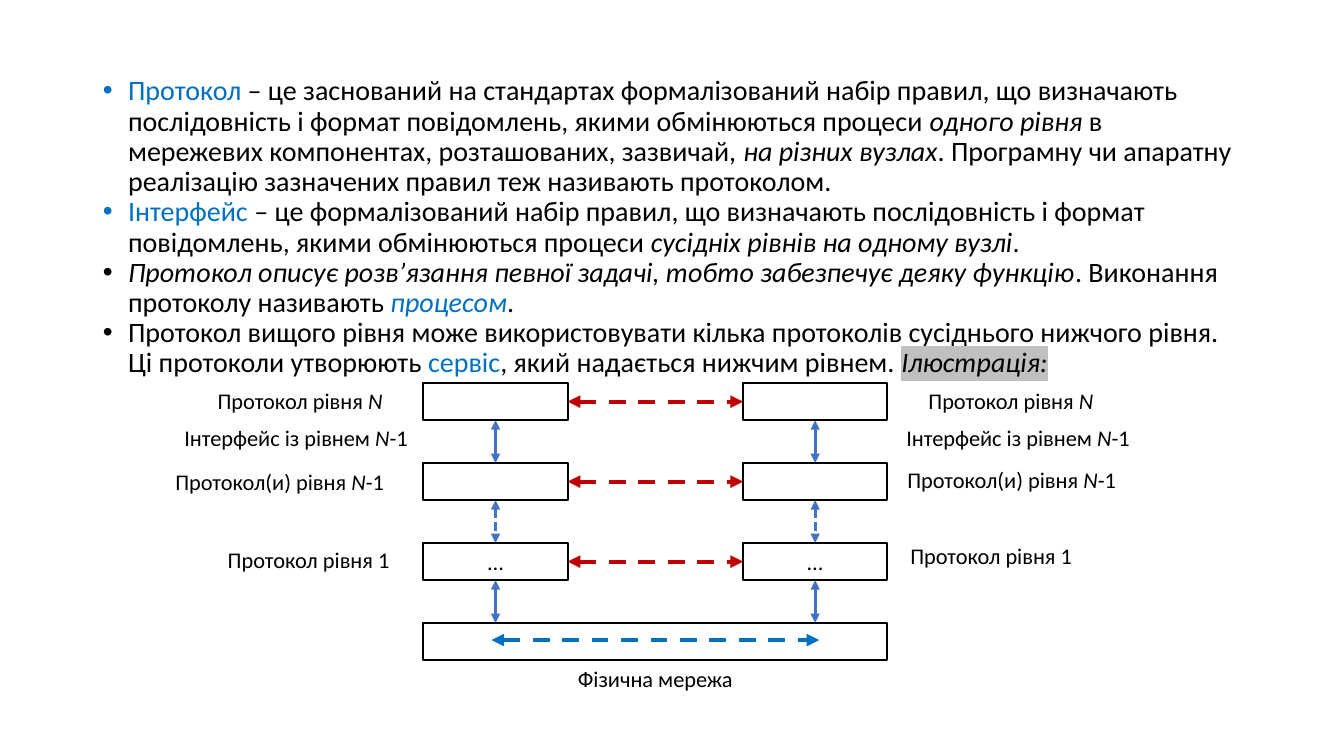
from collections import namedtuple

from lxml.etree import SubElement
from pptx import Presentation
from pptx.dml.color import RGBColor
from pptx.enum.dml import MSO_LINE
from pptx.enum.shapes import MSO_CONNECTOR, MSO_SHAPE
from pptx.enum.text import MSO_ANCHOR, MSO_AUTO_SIZE, PP_ALIGN
from pptx.oxml import parse_xml
from pptx.oxml.ns import nsdecls, qn
from pptx.util import Inches, Pt

BLACK = RGBColor(0x00, 0x00, 0x00)
BLUE = RGBColor(0x00, 0x70, 0xC0)
INTERFACE_BLUE = RGBColor(0x44, 0x72, 0xC4)
PROTOCOL_RED = RGBColor(0xC0, 0x00, 0x00)
GRAY = RGBColor(0xC0, 0xC0, 0xC0)
FONT = "Calibri"

Box = namedtuple("Box", "left top width height")
Piece = namedtuple("Piece", "text color italic highlight", defaults=(BLACK, False, None))

DEFINITIONS = [
    [
        Piece("Протокол", BLUE),
        Piece("\u00a0– це заснований на стандартах формалізований набір правил, що визначають "
              "послідовність і формат повідомлень, якими обмінюються процеси "),
        Piece("одного рівня", italic=True),
        Piece(" в мережевих компонентах, розташованих, зазвичай, "),
        Piece("на різних вузлах", italic=True),
        Piece(". Програмну чи апаратну реалізацію зазначених правил теж називають протоколом. "),
    ],
    [
        Piece("Інтерфейс", BLUE),
        Piece("\u00a0– це формалізований набір правил, що визначають послідовність і формат "
              "повідомлень, якими обмінюються процеси "),
        Piece("сусідніх рівнів на одному вузлі", italic=True),
        Piece("."),
    ],
    [
        Piece("Протокол описує розв’язання певної задачі, тобто забезпечує деяку функцію",
              italic=True),
        Piece(". Виконання протоколу називають "),
        Piece("процесом", BLUE, True),
        Piece(". "),
    ],
    [
        Piece("Протокол вищого рівня може використовувати кілька протоколів сусіднього "
              "нижчого рівня. Ці протоколи утворюють "),
        Piece("сервіс", BLUE),
        Piece(", який надається нижчим рівнем. "),
        Piece("Ілюстрація:", italic=True, highlight=GRAY),
        Piece(" "),
    ],
]

LEVEL_N = [Piece("Протокол рівня "), Piece("N", italic=True)]
INTERFACE = [Piece("Інтерфейс із рівнем "), Piece("N", italic=True), Piece("-1")]
LEVEL_BELOW = [Piece("Протокол(и) рівня "), Piece("N", italic=True), Piece("-1")]
LEVEL_ONE = [Piece("Протокол рівня 1")]

LABELS = [
    (LEVEL_N, 1.99, (-2.14, -0.01), (4.91, -0.01)),
    (INTERFACE, 2.42, (-2.47, 0.36), (4.69, 0.36)),
    (LEVEL_BELOW, 2.42, (-2.56, 0.8), (4.7, 0.78)),
    (LEVEL_ONE, 1.88, (-2.04, 1.57), (4.73, 1.53)),
]


def add_pieces(paragraph, pieces, size):
    """Add each piece of text to the paragraph as a formatted run."""
    for piece in pieces:
        run = paragraph.add_run()
        run.text = piece.text
        run.font.size = Pt(size)
        run.font.italic = piece.italic
        run.font.color.rgb = piece.color
        if piece.highlight is not None:
            highlight = SubElement(run.font._element, qn("a:highlight"))
            SubElement(highlight, qn("a:srgbClr"), val=str(piece.highlight))
        run.font.name = FONT


def add_label(slide, box, pieces, alignment=PP_ALIGN.LEFT):
    """Add a one-line text box."""
    label = slide.shapes.add_textbox(*map(Inches, box))
    frame = label.text_frame
    frame.word_wrap = True
    frame.auto_size = MSO_AUTO_SIZE.SHAPE_TO_FIT_TEXT
    frame.paragraphs[0].alignment = alignment
    add_pieces(frame.paragraphs[0], pieces, 16)


def add_frame(slide, box, text=""):
    """Add an unfilled black rectangle with optional centred text."""
    shape = slide.shapes.add_shape(MSO_SHAPE.RECTANGLE, *map(Inches, box))
    shape.shadow.inherit = False
    shape.fill.background()
    shape.line.color.rgb = BLACK
    shape.line.width = Pt(1.5)
    if text:
        frame = shape.text_frame
        frame.vertical_anchor = MSO_ANCHOR.MIDDLE
        frame.paragraphs[0].alignment = PP_ALIGN.CENTER
        add_pieces(frame.paragraphs[0], [Piece(text)], 16)


def add_arrow(slide, start, end, color, width, dash=None):
    """Add a straight arrow with a head at both ends."""
    arrow = slide.shapes.add_connector(MSO_CONNECTOR.STRAIGHT, *map(Inches, (*start, *end)))
    arrow.line.color.rgb = color
    arrow.line.width = Pt(width)
    if dash is not None:
        arrow.line.dash_style = dash
    line = arrow.line._get_or_add_ln()
    for end_name in ("a:headEnd", "a:tailEnd"):
        SubElement(line, qn(end_name), type="triangle")
    arrow._element.spPr.append(parse_xml(f"<a:effectLst {nsdecls('a')}/>"))


def fill_definitions(body, box):
    """Place the body placeholder and write the bulleted definitions."""
    body.left, body.top, body.width, body.height = map(Inches, box)
    frame = body.text_frame
    frame.auto_size = MSO_AUTO_SIZE.NONE
    frame.vertical_anchor = MSO_ANCHOR.TOP
    for index, pieces in enumerate(DEFINITIONS):
        paragraph = frame.add_paragraph() if index else frame.paragraphs[0]
        paragraph.line_spacing = 0.9
        paragraph.space_before = Pt(0)
        properties = paragraph._p.get_or_add_pPr()
        properties.set("marL", str(Inches(0.25)))
        properties.set("indent", str(Inches(-0.25)))
        SubElement(properties, qn("a:buFont"), typeface="Arial")
        SubElement(properties, qn("a:buChar"), char="•")
        add_pieces(paragraph, pieces, 20)


def draw_protocol_stack(slide, box):
    """Draw two protocol stacks joined by a physical network."""
    level_width, level_height = 1.43, 0.37
    level_texts = ["", "", "…"]
    network_top = box.top + box.height - level_height
    pitch = (network_top - box.top) / len(level_texts)
    tops = [box.top + index * pitch for index in range(len(level_texts) + 1)]
    node_lefts = [box.left, box.left + box.width - level_width]
    centers = [left + level_width / 2 for left in node_lefts]
    interface_dashes = [None, MSO_LINE.SQUARE_DOT, None]

    for left, center in zip(node_lefts, centers):
        for index, text in enumerate(level_texts):
            add_frame(slide, Box(left, tops[index], level_width, level_height), text)
            add_arrow(slide, (center, tops[index] + level_height), (center, tops[index + 1]),
                      INTERFACE_BLUE, 2.25, interface_dashes[index])
    for top in tops[:-1]:
        middle = top + level_height / 2
        add_arrow(slide, (node_lefts[0] + level_width, middle), (node_lefts[1], middle),
                  PROTOCOL_RED, 3, MSO_LINE.DASH)

    add_frame(slide, Box(box.left, network_top, box.width, level_height))
    middle = network_top + 0.17
    add_arrow(slide, (centers[0] - 0.04, middle), (centers[1] + 0.04, middle),
              BLUE, 3, MSO_LINE.DASH)
    add_label(slide, Box(box.left, box.top + box.height, box.width, level_height),
              [Piece("Фізична мережа")], PP_ALIGN.CENTER)

    for pieces, width, *offsets in LABELS:
        for across, down in offsets:
            add_label(slide, Box(box.left + across, box.top + down, width, level_height), pieces)


def build_slide(presentation):
    """Add the slide with definitions above and protocol stacks below."""
    slide = presentation.slides.add_slide(presentation.slide_layouts[1])
    title = slide.shapes.title._element
    title.getparent().remove(title)
    fill_definitions(slide.placeholders[1], Box(0.92, 0.71, 11.5, 6.2))
    draw_protocol_stack(slide, Box(4.2, 3.8, 4.6, 2.75))


presentation = Presentation()
presentation.slide_width = Inches(13.33)
presentation.slide_height = Inches(7.5)
build_slide(presentation)
presentation.save("out.pptx")
